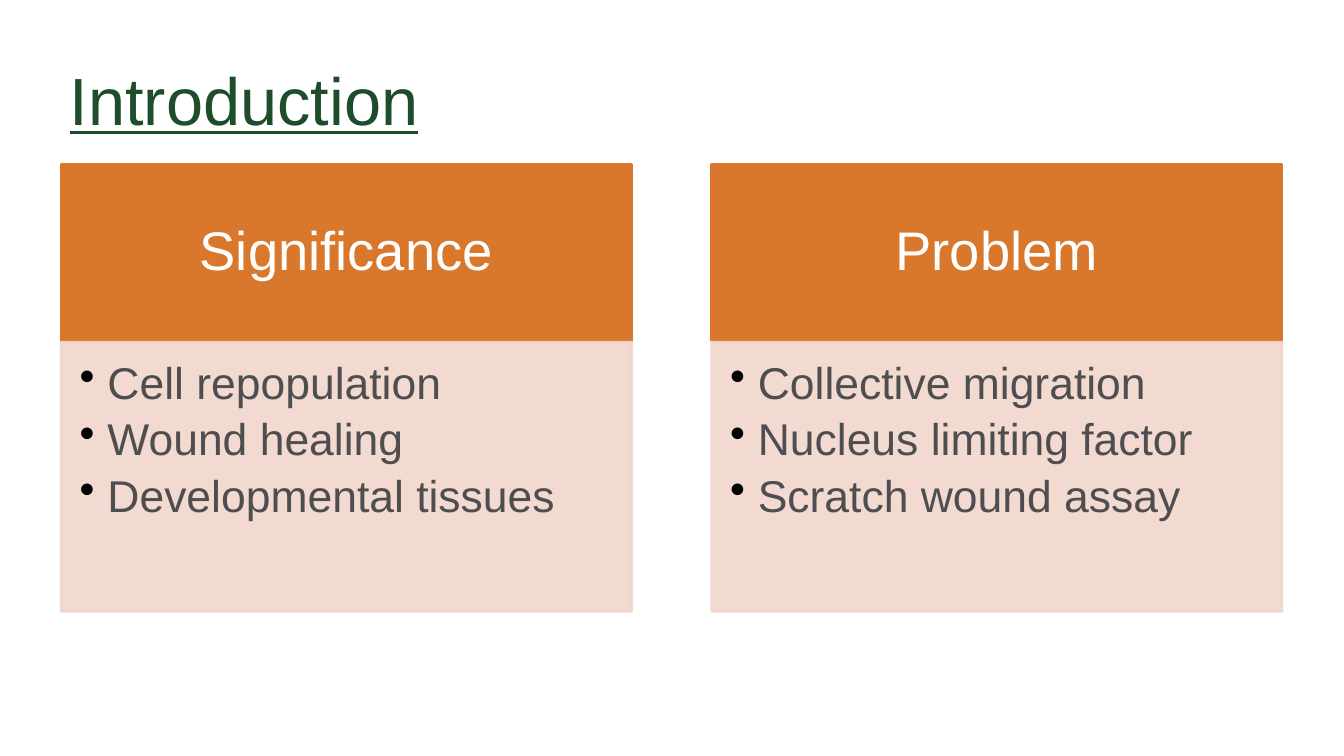
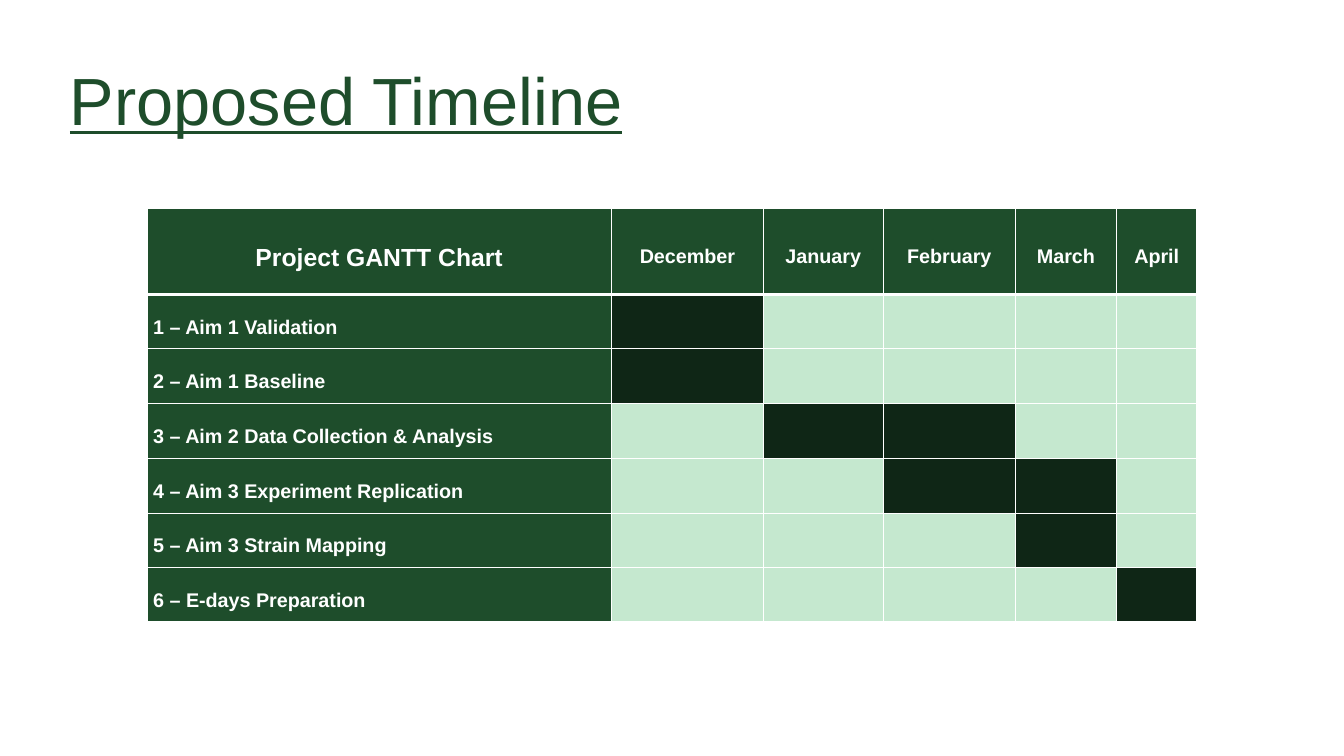
from pptx import Presentation
from pptx.dml.color import RGBColor
from pptx.enum.shapes import MSO_SHAPE
from pptx.enum.text import MSO_ANCHOR, PP_ALIGN
from pptx.oxml import parse_xml
from pptx.oxml.ns import nsdecls, qn
from pptx.util import Pt

GREEN = RGBColor(0x1E, 0x4D, 0x2B)
DARK = RGBColor(0x0F, 0x26, 0x16)
PALE = RGBColor(0xC5, 0xE8, 0xCF)
ORANGE = RGBColor(0xD9, 0x78, 0x2C)
PINK = RGBColor(0xF1, 0xD6, 0xCD)
GRAY = RGBColor(0x4E, 0x4E, 0x50)
WHITE = RGBColor(0xFF, 0xFF, 0xFF)
FACE = "Arial"

deck = Presentation()
deck.slide_width = Pt(1088)
deck.slide_height = Pt(612)


def add_page(title):
    page = deck.slides.add_slide(deck.slide_layouts[6])
    frame = page.shapes.add_textbox(Pt(49.5), Pt(39.5), Pt(989), Pt(80)).text_frame
    frame.word_wrap = True
    frame.vertical_anchor = MSO_ANCHOR.BOTTOM
    frame.margin_left = frame.margin_right = Pt(7.2)
    frame.margin_top = frame.margin_bottom = Pt(7.2)
    frame.text = title
    font = frame.paragraphs[0].runs[0].font
    font.name, font.size, font.underline = FACE, Pt(54), True
    font.color.rgb = GREEN
    return page


def add_panel(page, left, top, high, color, lines, size, ink, pads):
    box = page.shapes.add_shape(MSO_SHAPE.RECTANGLE, Pt(left), Pt(top), Pt(462), Pt(high))
    box.shadow.inherit = False
    box.fill.solid()
    box.fill.fore_color.rgb = color
    box.line.color.rgb = color
    box.line.width = Pt(2)
    frame = box.text_frame
    frame.word_wrap = True
    frame.margin_left, frame.margin_top, frame.margin_right, frame.margin_bottom = map(Pt, pads)
    frame.text = "\n".join(lines)
    for para in frame.paragraphs:
        para.line_spacing = 0.9
        font = para.runs[0].font
        font.name, font.size = FACE, Pt(size)
        font.color.rgb = ink
    return box


page = add_page("Introduction")
topics = [
    ("Significance", ["Cell repopulation", "Wound healing", "Developmental tissues"]),
    ("Problem", ["Collective migration", "Nucleus limiting factor", "Scratch wound assay"]),
]
for col, (head, points) in enumerate(topics):
    left = 49.5 + col * 526.5
    box = add_panel(page, left, 133.2, 142.6, ORANGE, [head], 44, WHITE, (24.5, 14.4, 24.5, 14.4))
    box.text_frame.vertical_anchor = MSO_ANCHOR.MIDDLE
    box.text_frame.paragraphs[0].alignment = PP_ALIGN.CENTER

    box = add_panel(page, left, 277, 218, PINK, points, 36, GRAY, (15, 15, 20, 23))
    box.text_frame.vertical_anchor = MSO_ANCHOR.TOP
    for tint in box._element.spPr.iter(qn("a:srgbClr")):
        tint.append(parse_xml(f'<a:alpha {nsdecls("a")} val="90000"/>'))
    for para in box.text_frame.paragraphs:
        para.alignment = PP_ALIGN.LEFT
        para.space_after = Pt(6.8)
        props = para._p.get_or_add_pPr()
        props.set("marL", str(Pt(22.5)))
        props.set("indent", str(-Pt(22.5)))
        props.append(parse_xml(
            f'<a:buClr {nsdecls("a")}><a:srgbClr val="000000"/></a:buClr>'))
        props.append(parse_xml(f'<a:buChar {nsdecls("a")} char="•"/>'))

page = add_page("Proposed Timeline")
heads = ["Project GANTT Chart", "December", "January", "February", "March", "April"]
tasks = [
    ("1 – Aim 1 Validation", {1}),
    ("2 – Aim 1 Baseline", {1}),
    ("3 – Aim 2 Data Collection & Analysis", {2, 3}),
    ("4 – Aim 3 Experiment Replication", {3, 4}),
    ("5 – Aim 3 Strain Mapping", {4}),
    ("6 – E-days Preparation", {5}),
]
wides = [376, 123, 97, 107, 82, 65]
highs = [70, 44, 44, 45, 44, 44, 44]
grid = page.shapes.add_table(
    len(highs), len(wides), Pt(119), Pt(168.5), Pt(sum(wides)), Pt(sum(highs))).table
grid.first_row = grid.horz_banding = False
for col, wide in zip(grid.columns, wides):
    col.width = Pt(wide)
for row, high in zip(grid.rows, highs):
    row.height = Pt(high)

for r in range(len(highs)):
    for c in range(len(wides)):
        cell = grid.cell(r, c)
        cell.margin_left = cell.margin_right = Pt(5)
        cell.margin_top = cell.margin_bottom = 0
        cell.vertical_anchor = MSO_ANCHOR.MIDDLE
        props = cell._tc.get_or_add_tcPr()
        for side in "LRTB":
            thick = 3 if (r, side) in ((0, "B"), (1, "T")) else 1
            props.append(parse_xml(
                f'<a:ln{side} {nsdecls("a")} w="{Pt(thick)}"><a:solidFill>'
                f'<a:srgbClr val="{WHITE}"/></a:solidFill></a:ln{side}>'))
        cell.fill.solid()
        if r and c:
            cell.fill.fore_color.rgb = DARK if c in tasks[r - 1][1] else PALE
            continue
        cell.fill.fore_color.rgb = GREEN
        cell.text_frame.text = tasks[r - 1][0] if r else heads[c]
        para = cell.text_frame.paragraphs[0]
        para.alignment = PP_ALIGN.LEFT if r else PP_ALIGN.CENTER
        para.line_spacing = 1.5
        font = para.runs[0].font
        font.name, font.bold = FACE, True
        font.size = Pt(16 if r or c else 20)
        font.color.rgb = WHITE

deck.save("out.pptx")
